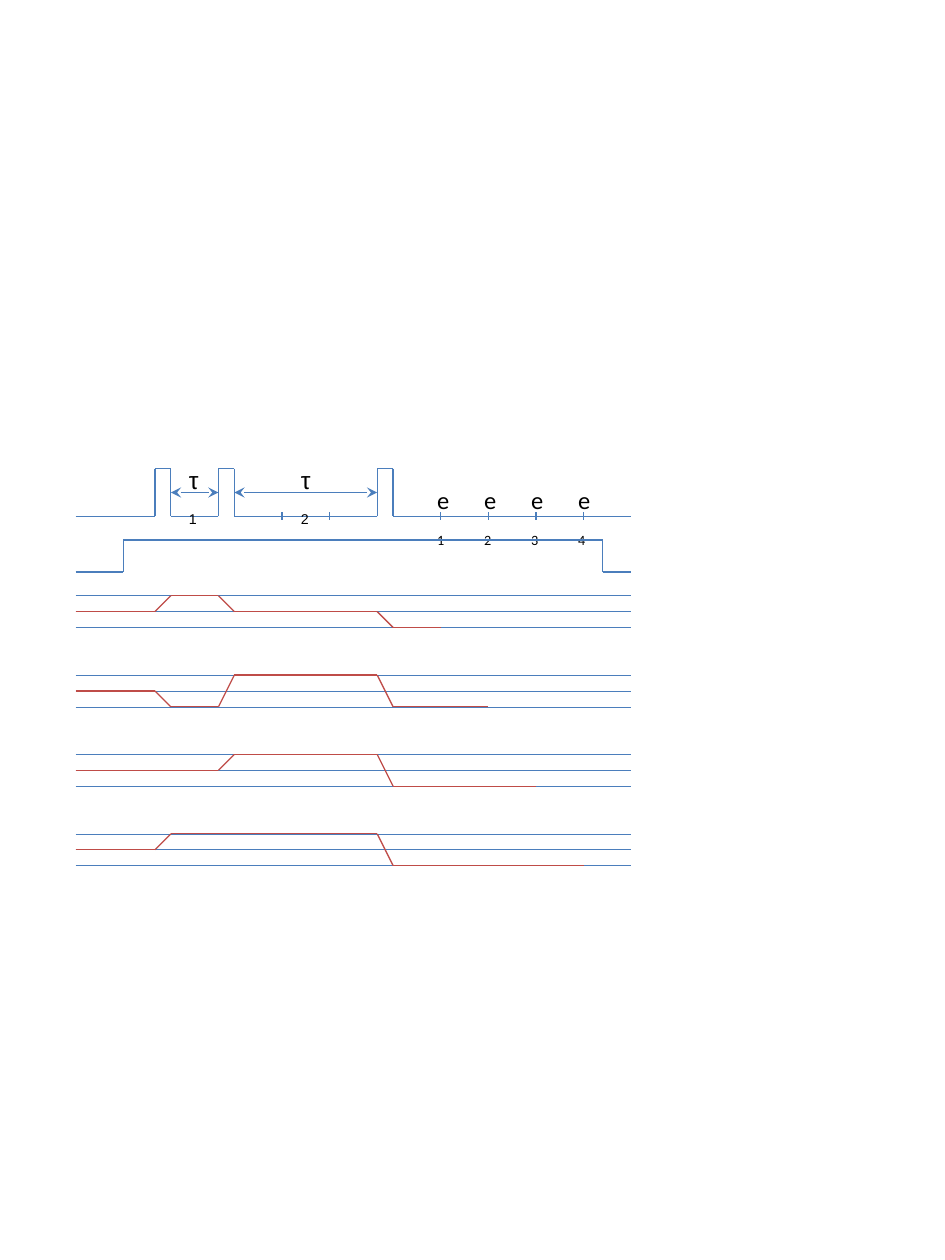
import itertools

import pptx
import pptx.dml.color
import pptx.enum.shapes
import pptx.enum.text
import pptx.oxml
import pptx.oxml.ns
import pptx.util

Inches = pptx.util.Inches
Pt = pptx.util.Pt
BLUE = pptx.dml.color.RGBColor(0x4B, 0x7E, 0xBC)
RED = pptx.dml.color.RGBColor(0xBF, 0x4C, 0x48)
BLACK = pptx.dml.color.RGBColor(0, 0, 0)
STEP = 0.63 / 5
TIME_END = 35


def add_segment(slide, start, end, color, width):
    segment = slide.shapes.add_connector(
        pptx.enum.shapes.MSO_CONNECTOR.STRAIGHT,
        *(Inches(value) for value in (*start, *end)))
    segment.line.color.rgb = color
    segment.line.width = Pt(width)
    properties = segment._element.spPr
    properties.append(pptx.oxml.parse_xml(
        f'<a:effectLst {pptx.oxml.ns.nsdecls("a")}/>'))
    return segment


def add_path(slide, left, top, points, color=BLUE, width=0.75):
    places = [(left + x * STEP, top + y * STEP) for x, y in points]
    return [add_segment(slide, start, end, color, width)
            for start, end in itertools.pairwise(places)]


def add_interval(slide, left, top, start, end):
    interval = add_path(slide, left, top, [(start, 1.5), (end, 1.5)])[0]
    line = interval.line._get_or_add_ln()
    for tag in ("headEnd", "tailEnd"):
        line.append(pptx.oxml.parse_xml(
            f'<a:{tag} {pptx.oxml.ns.nsdecls("a")} type="stealth"/>'))


def add_symbol(slide, left, top, width, letter, index, font_name):
    symbol = slide.shapes.add_textbox(
        Inches(left), Inches(top), Inches(width), Inches(0.27))
    frame = symbol.text_frame
    frame.word_wrap = True
    paragraph = frame.paragraphs[0]
    paragraph.font.size = Pt(14)
    paragraph.font.name = font_name
    paragraph.font.color.rgb = BLACK
    paragraph.add_run().text = letter
    subscript = paragraph.add_run()
    subscript.text = index
    subscript.font._element.set("baseline", "-25000")


def add_pulse_train(slide, left, top):
    points = [(0, 3)]
    for start in (5, 9, 19):
        points += [(start, 3), (start, 0), (start + 1, 0), (start + 1, 3)]
    add_path(slide, left, top, points + [(TIME_END, 3)])
    for start, end in ((6, 9), (10, 19)):
        add_interval(slide, left, top, start, end)
    for tick in (13, 16, 23, 26, 29, 32):
        add_path(slide, left, top, [(tick, 2.75), (tick, 3.25)])
    for index, offset in enumerate((0.8, 1.69), 1):
        add_symbol(slide, left + offset, top - 0.08, 0.28, "τ", str(index), "Arial")
    for index in range(4):
        add_symbol(slide, left + 2.77 + index * 0.373, top + 0.08, 0.29,
                   "e", str(index + 1), "Calibri")


def add_gate(slide, left, top):
    add_path(slide, left, top, [(0, 2), (3, 2), (3, 0), (33.2, 0),
                                (33.2, 2), (TIME_END, 2)])


def add_coherence(slide, left, top, trace):
    for level in range(3):
        add_path(slide, left, top, [(0, level), (TIME_END, level)], width=0.25)
    add_path(slide, left, top, trace, RED)


def coherence_trace(first, second, third, echo):
    return [(0, 1), (5, 1), (6, first), (9, first), (10, second),
            (19, second), (20, third), (echo, third)]


def add_diagram(slide, left, top):
    add_pulse_train(slide, left, top)
    levels = ((0, 1), (2, 0), (1, 0), (0, 0))
    for row, (first, second) in enumerate(levels):
        add_coherence(slide, left, top + (8 + 5 * row) * STEP,
                      coherence_trace(first, second, 2, 23 + 3 * row))
    add_gate(slide, left, top + 4.5 * STEP)


presentation = pptx.Presentation()
presentation.slide_width = Inches(7.5)
presentation.slide_height = Inches(10)
timing_slide = presentation.slides.add_slide(presentation.slide_layouts[6])
add_diagram(timing_slide, 0.6, 3.72)
presentation.save("out.pptx")
